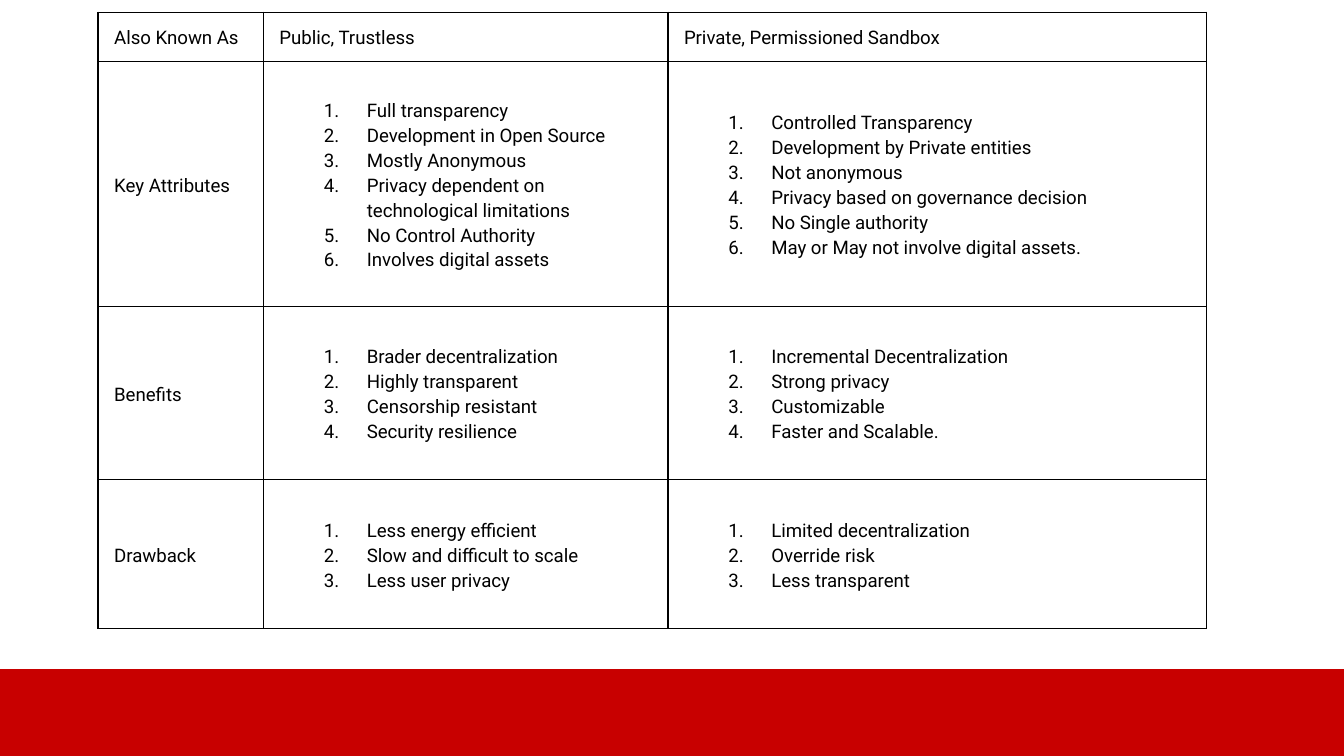
from lxml import etree
from pptx import Presentation
from pptx.dml.color import RGBColor
from pptx.enum.shapes import MSO_SHAPE as Shape
from pptx.enum.text import MSO_ANCHOR as Anchor
from pptx.oxml.ns import qn
from pptx.util import Inches, Pt

BLACK = RGBColor(0x00, 0x00, 0x00)
WHITE = RGBColor(0xFF, 0xFF, 0xFF)
RED = RGBColor(0xC8, 0x00, 0x00)

# 16:9 page
SLIDE_WIDTH = 10
SLIDE_HEIGHT = SLIDE_WIDTH * 9 / 16

COLUMN_WIDTHS = [1.23, 3.01, 4.01]
ROW_HEIGHTS = [0.37, 1.82, 1.29, 1.11]

# A string is a plain cell, a list is a numbered cell
COMPARISON = [
    ["Also Known As", "Public, Trustless", "Private, Permissioned Sandbox"],
    ["Key Attributes",
     ["Full transparency", "Development in Open Source", "Mostly Anonymous",
      "Privacy dependent on technological limitations",
      "No Control Authority", "Involves digital assets"],
     ["Controlled Transparency", "Development by Private entities",
      "Not anonymous", "Privacy based on governance decision",
      "No Single authority", "May or May not involve digital assets."]],
    ["Benefits",
     ["Brader decentralization", "Highly transparent",
      "Censorship resistant", "Security resilience"],
     ["Incremental Decentralization", "Strong privacy", "Customizable",
      "Faster and Scalable."]],
    ["Drawback",
     ["Less energy efficient", "Slow and difficult to scale",
      "Less user privacy"],
     ["Limited decentralization", "Override risk", "Less transparent"]],
]


def add_color(parent, color):
    fill = etree.SubElement(parent, qn("a:solidFill"))
    etree.SubElement(fill, qn("a:srgbClr"), val=str(color))


def number_paragraph(paragraph):
    props = paragraph._p.get_or_add_pPr()
    props.set("marL", str(Inches(0.65)))
    props.set("indent", str(Inches(-0.32)))
    bullet_color = etree.SubElement(props, qn("a:buClr"))
    etree.SubElement(bullet_color, qn("a:srgbClr"), val=str(BLACK))
    etree.SubElement(props, qn("a:buFont"), typeface="Roboto")
    etree.SubElement(props, qn("a:buAutoNum"), type="arabicPeriod")


def border_cell(cell):
    props = cell._tc.get_or_add_tcPr()
    for position, side in enumerate(("lnL", "lnR", "lnT", "lnB")):
        line = etree.Element(qn(f"a:{side}"), w=str(Pt(0.75)))
        add_color(line, BLACK)
        props.insert(position, line)


def fill_cell(cell, content):
    cell.fill.solid()
    cell.fill.fore_color.rgb = WHITE
    cell.vertical_anchor = Anchor.MIDDLE
    cell.margin_left = cell.margin_right = Inches(0.12)
    cell.margin_top = cell.margin_bottom = Inches(0.09)
    border_cell(cell)

    numbered = isinstance(content, list)
    frame = cell.text_frame
    for index, entry in enumerate(content if numbered else [content]):
        paragraph = frame.add_paragraph() if index else frame.paragraphs[0]
        if numbered:
            number_paragraph(paragraph)
        paragraph.line_spacing = 1.15
        run = paragraph.add_run()
        run.text = entry
        run.font.name = "Roboto"
        run.font.size = Pt(10)
        run.font.color.rgb = BLACK


def add_comparison(slide, left, top, width, height):
    table = slide.shapes.add_table(
        len(ROW_HEIGHTS), len(COLUMN_WIDTHS),
        Inches(left), Inches(top), Inches(width), Inches(height)).table
    table.first_row = table.horz_banding = False
    for column, column_width in zip(table.columns, COLUMN_WIDTHS):
        column.width = Inches(column_width)
    for row, row_height, contents in zip(table.rows, ROW_HEIGHTS, COMPARISON):
        row.height = Inches(row_height)
        for cell, content in zip(row.cells, contents):
            fill_cell(cell, content)


def add_footer_band(slide, left, top, width, height):
    band = slide.shapes.add_shape(
        Shape.RECTANGLE, Inches(left), Inches(top), Inches(width), Inches(height))
    band.shadow.inherit = False
    band.fill.solid()
    band.fill.fore_color.rgb = RED
    band.line.fill.background()


def main():
    deck = Presentation()
    deck.slide_width = Inches(SLIDE_WIDTH)
    deck.slide_height = Inches(SLIDE_HEIGHT)
    slide = deck.slides.add_slide(deck.slide_layouts[6])

    add_footer_band(slide, 0, 4.98, SLIDE_WIDTH, SLIDE_HEIGHT - 4.98)
    add_comparison(slide, 0.73, 0.09, sum(COLUMN_WIDTHS), sum(ROW_HEIGHTS))
    deck.save("out.pptx")


if __name__ == "__main__":
    main()
